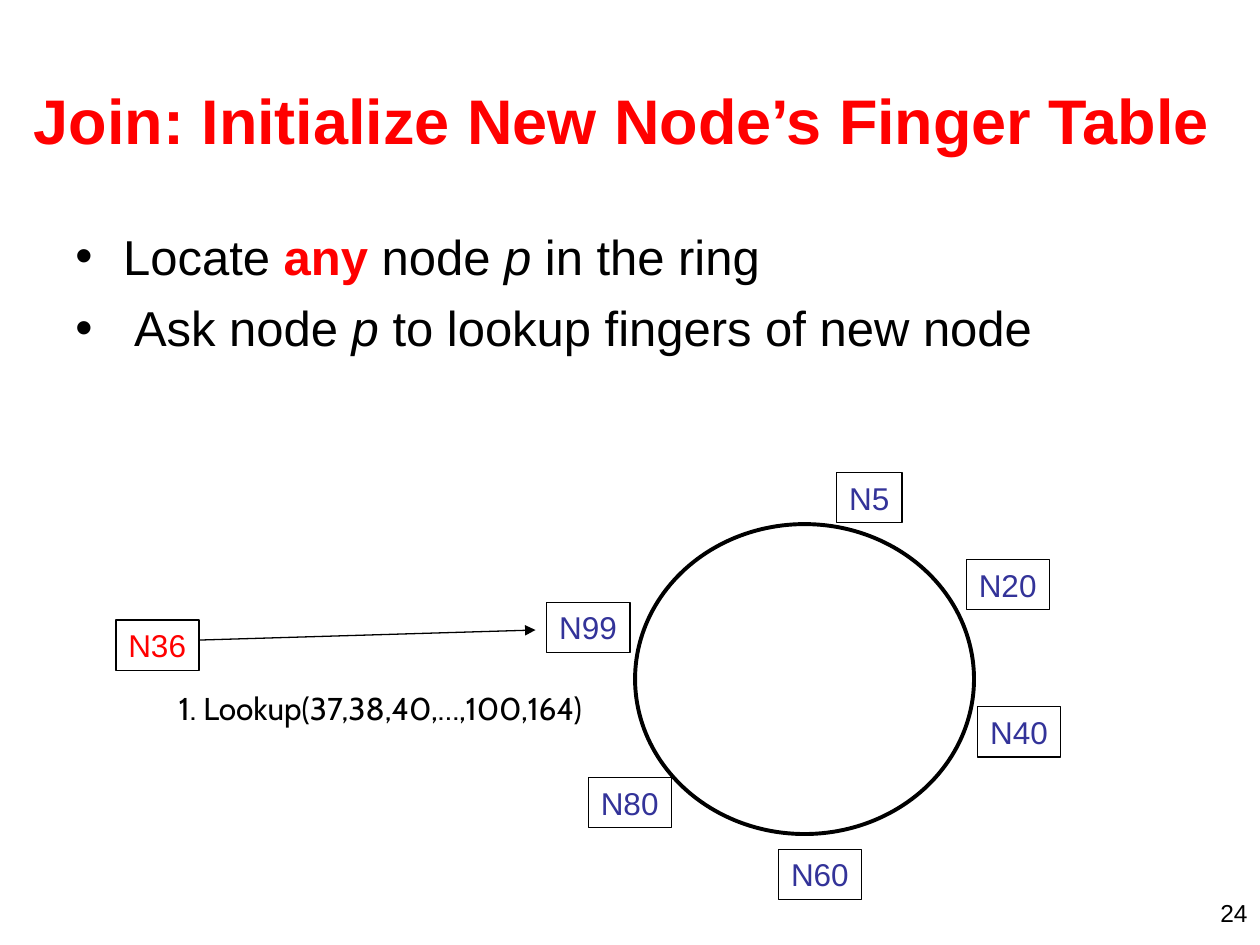
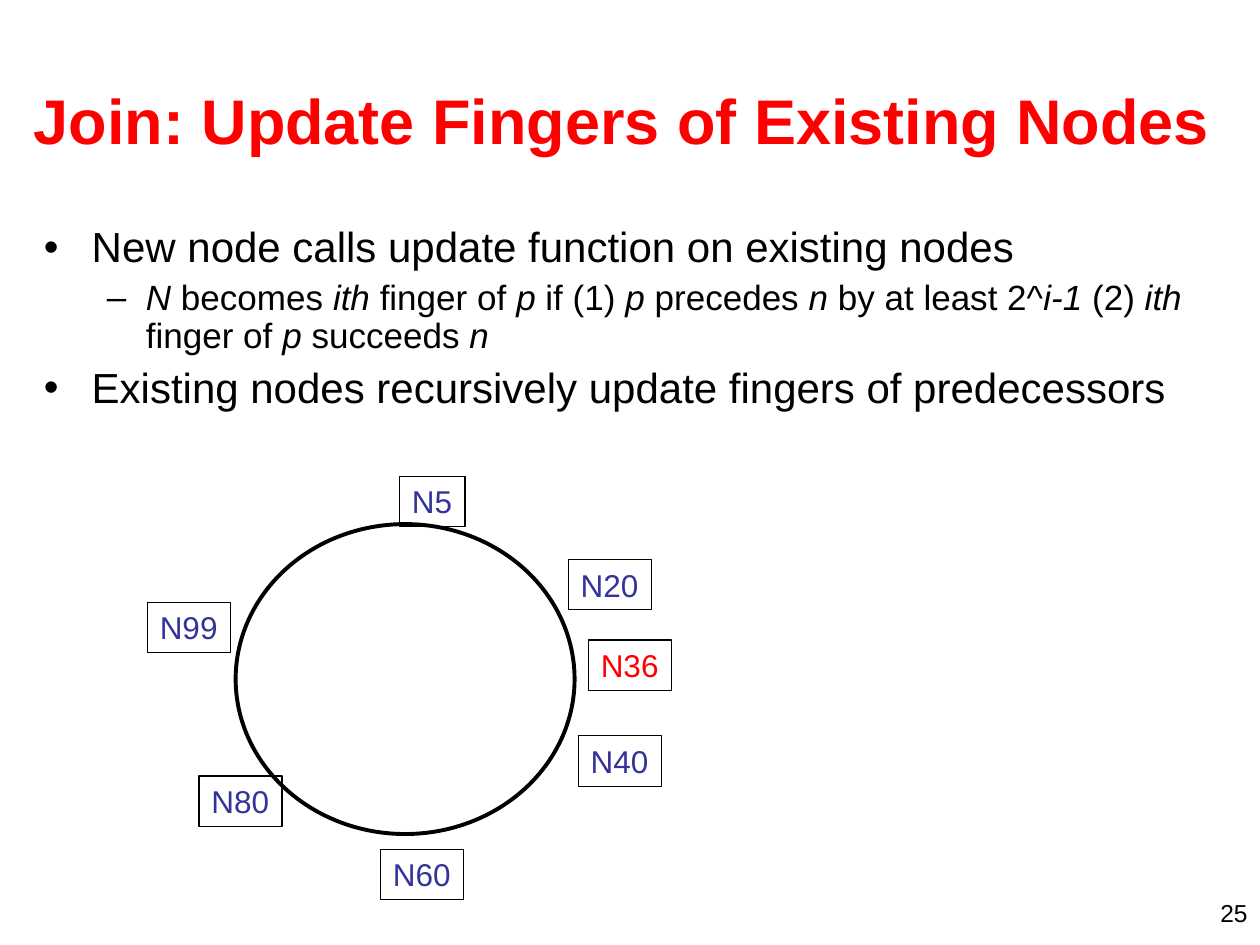
from lxml.etree import SubElement
from pptx import Presentation
from pptx.dml.color import RGBColor
from pptx.enum.shapes import MSO_CONNECTOR as CONNECTOR, MSO_SHAPE as SHAPE
from pptx.enum.text import MSO_ANCHOR as ANCHOR, PP_ALIGN as ALIGN
from pptx.oxml.ns import qn
from pptx.util import Inches, Pt

RED, BLUE, BLACK = "FF0000", "333399", "000000"
BOX_HEIGHT = 0.4

# Bullet levels: character, left margin, hanging indent
LEVELS = [("•", 0.38, 0.38), ("–", 0.81, 0.31)]

# Body lines: level, size, space before, text; *italic*, #bold red#
SLIDES = [
    {
        "number": "24",
        "title": "Join: Initialize New Node’s Finger Table",
        "title_width": 9.83,
        "body_at": (0.5, 1.75, 9, 1.6),
        "line_spacing": 1.0,
        "body": [
            (0, 28, 7, "Locate #any# node *p* in the ring"),
            (0, 28, 7, " Ask node *p* to lookup fingers of new node"),
        ],
        "ring_left": 5.04,
        "nodes": {"N36": (0.92, 4.92), "N60": (6.18, 6.74), "N40": (7.76, 5.61),
                  "N5": (6.64, 3.75), "N20": (7.67, 4.44), "N99": (4.34, 4.78),
                  "N80": (4.67, 6.17)},
        "lookup": "1. Lookup(37,38,40,…,100,164)",
    },
    {
        "number": "25",
        "title": "Join: Update Fingers of Existing Nodes",
        "title_width": 9.58,
        "body_at": (0.25, 1.75, 9.5, 1.67),
        "line_spacing": 0.9,
        "body": [
            (0, 24, 6, "New node calls update function on existing nodes"),
            (1, 20, 5, "*N* becomes *ith* finger of *p* if (1) *p *precedes *n* by at least "
                       "2^*i-1 *(2)* ith* finger of *p* succeeds *n*"),
            (0, 24, 6, "Existing nodes recursively update fingers of predecessors"),
        ],
        "ring_left": 1.87,
        "nodes": {"N36": (4.67, 5.08), "N60": (3.02, 6.74), "N40": (4.59, 5.84),
                  "N5": (3.17, 3.78), "N20": (4.51, 4.44), "N99": (1.17, 4.78),
                  "N80": (1.58, 6.16)},
    },
]


def rgb(code):
    return RGBColor.from_string(code)


def write(paragraph, text, size, color=BLACK, font="Arial", bold=False):
    """Add text as runs: *...* is italic, #...# is bold red."""
    for i, chunk in enumerate(text.split("#")):
        for j, part in enumerate(chunk.split("*")):
            if part:
                run = paragraph.add_run()
                run.text = part
                style = {"name": font, "size": Pt(size), "italic": j % 2 == 1,
                         "bold": bold or i % 2 == 1}
                for key, value in style.items():
                    setattr(run.font, key, value)
                run.font.color.rgb = rgb(RED if i % 2 else color)


prs = Presentation()
prs.slide_width, prs.slide_height = Inches(10), Inches(7.5)

for content in SLIDES:
    slide = prs.slides.add_slide(prs.slide_layouts[6])
    shapes = slide.shapes

    title = shapes.add_textbox(Inches(0.17), Inches(0.32),
                               Inches(content["title_width"]), Inches(1.25)).text_frame
    title.word_wrap = True
    title.vertical_anchor = ANCHOR.MIDDLE
    write(title.paragraphs[0], content["title"], 36, RED, bold=True)

    body = shapes.add_textbox(*map(Inches, content["body_at"])).text_frame
    body.word_wrap = True
    for i, (level, size, space, text) in enumerate(content["body"]):
        line = body.add_paragraph() if i else body.paragraphs[0]
        line.level = level
        line.space_before = Pt(space)
        line.line_spacing = content["line_spacing"]
        bullet, margin, hanging = LEVELS[level]
        props = line._p.get_or_add_pPr()
        props.set("marL", str(Inches(margin)))
        props.set("indent", str(-Inches(hanging)))
        bullet_color = SubElement(props, qn("a:buClr"))
        SubElement(bullet_color, qn("a:srgbClr"), val=BLACK)
        SubElement(props, qn("a:buFont"), typeface="Arial")
        SubElement(props, qn("a:buChar"), char=bullet)
        write(line, text, size)

    ring = shapes.add_shape(SHAPE.OVAL, Inches(content["ring_left"]), Inches(4.16),
                            Inches(2.69), Inches(2.46))
    ring.shadow.inherit = False
    ring.fill.background()
    ring.line.color.rgb = rgb(BLACK)
    ring.line.width = Pt(2.25)

    for node, (left, top) in content["nodes"].items():
        width = 0.66 if len(node) == 3 else 0.52
        box = shapes.add_shape(SHAPE.RECTANGLE, Inches(left), Inches(top),
                               Inches(width), Inches(BOX_HEIGHT))
        box.shadow.inherit = False
        box.fill.background()
        box.line.color.rgb = rgb(BLACK)
        box.line.width = Pt(0.75)
        box.text_frame.word_wrap = False
        box.text_frame.vertical_anchor = ANCHOR.TOP
        label = box.text_frame.paragraphs[0]
        label.alignment = ALIGN.LEFT
        write(label, node, 18, RED if node == "N36" else BLUE)

    if "lookup" in content:
        lookup = shapes.add_textbox(Inches(1.32), Inches(5.42),
                                    Inches(3.75), Inches(BOX_HEIGHT)).text_frame
        lookup.word_wrap = True
        write(lookup.paragraphs[0], content["lookup"], 18, font="Cabin")

        request = shapes.add_connector(CONNECTOR.STRAIGHT, Inches(1.58), Inches(5.08),
                                       Inches(4.25), Inches(5))
        request.line.color.rgb = rgb(BLACK)
        request.line.width = Pt(0.75)
        SubElement(request.line._get_or_add_ln(), qn("a:tailEnd"), type="triangle")
        SubElement(request._element.spPr, qn("a:effectLst"))

    footer = shapes.add_textbox(Inches(7.67), Inches(7.08), Inches(2.33), Inches(0.25)).text_frame
    footer.word_wrap = True
    footer.paragraphs[0].alignment = ALIGN.RIGHT
    write(footer.paragraphs[0], content["number"], 14)

prs.save("out.pptx")
